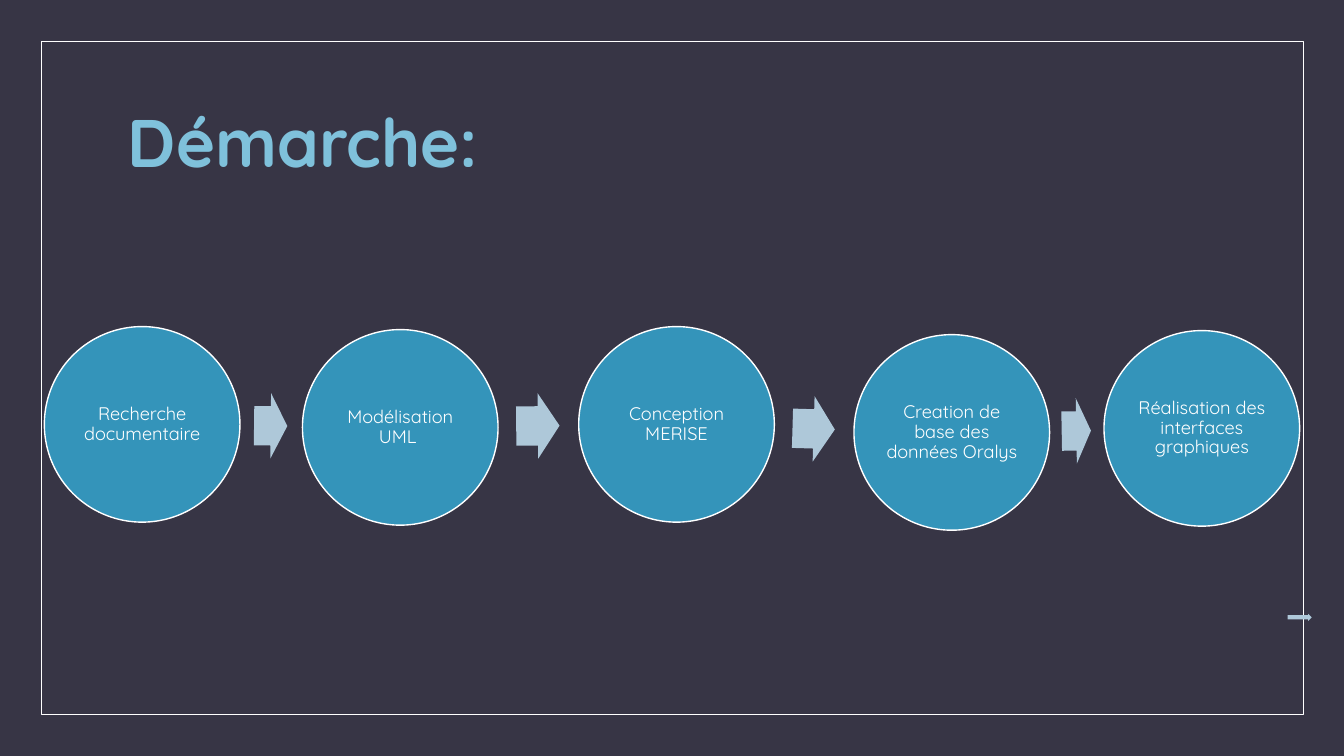
from dataclasses import dataclass

from pptx import Presentation
from pptx.dml.color import RGBColor
from pptx.enum.shapes import MSO_SHAPE
from pptx.enum.text import MSO_ANCHOR, PP_ALIGN
from pptx.util import Inches, Pt

RECTANGLE, OVAL, ARROW = MSO_SHAPE.RECTANGLE, MSO_SHAPE.OVAL, MSO_SHAPE.RIGHT_ARROW
MIDDLE = MSO_ANCHOR.MIDDLE
LEFT, CENTER = PP_ALIGN.LEFT, PP_ALIGN.CENTER


@dataclass(frozen=True)
class Theme:
    font: str = "Quicksand"
    background: RGBColor = RGBColor(0x37, 0x35, 0x45)
    white: RGBColor = RGBColor(0xFF, 0xFF, 0xFF)
    title: RGBColor = RGBColor(0x7F, 0xC1, 0xDB)
    step: RGBColor = RGBColor(0x34, 0x94, 0xBA)
    arrow: RGBColor = RGBColor(0xAE, 0xC8, 0xD9)
    title_size: int = 48
    step_size: int = 13


THEME = Theme()
DIAMETER = 1.94
ARROW_HEIGHT = 0.65

# left, top, label
STEPS = [
    (0.44, 3.24, "Recherche documentaire"),
    (3, 3.27, "Modélisation UML "),
    (5.74, 3.24, "Conception MERISE"),
    (8.47, 3.32, "Creation de base des données Oralys"),
    (10.95, 3.28, "Réalisation des interfaces graphiques"),
]

# left, top, width, height, rotation
ARROWS = [
    (2.52, 3.9, 0.33, ARROW_HEIGHT, 0.7),
    (5.12, 3.9, 0.43, ARROW_HEIGHT, -0.6),
    (7.86, 3.93, 0.42, ARROW_HEIGHT, 1.7),
    (10.53, 3.95, 0.29, ARROW_HEIGHT, -1),
    (12.77, 6.09, 0.24, 0.07, 0),
]


def add_outline(page, kind, bounds, fill=None, line_width=None):
    """Add a preset shape; without a fill or line width that part is left clear."""
    shape = page.shapes.add_shape(kind, *map(Inches, bounds))
    shape.shadow.inherit = False
    if fill is None:
        shape.fill.background()
    else:
        shape.fill.solid()
        shape.fill.fore_color.rgb = fill
    if line_width is None:
        shape.line.fill.background()
    else:
        shape.line.color.rgb = THEME.white
        shape.line.width = Pt(line_width)
    return shape


def write_text(box, text, size, color, align, bold=False, inset=None):
    frame = box.text_frame
    frame.word_wrap = True
    frame.vertical_anchor = MIDDLE
    if inset is not None:
        for side in ("left", "top", "right", "bottom"):
            setattr(frame, f"margin_{side}", Inches(inset))
    para = frame.paragraphs[0]
    para.alignment = align
    para.line_spacing = 0.9
    span = para.add_run()
    span.text = text
    for name, value in {"name": THEME.font, "size": Pt(size), "bold": bold}.items():
        setattr(span.font, name, value)
    span.font.color.rgb = color


def add_title(page, text):
    box = page.shapes.add_textbox(Inches(1.17), Inches(0.7), Inches(11), Inches(1.5))
    write_text(box, text, THEME.title_size, THEME.title, LEFT, bold=True)


def add_step(page, left, top, label):
    circle = add_outline(page, OVAL, (left, top, DIAMETER, DIAMETER), THEME.step, 1)
    write_text(circle, label, THEME.step_size, THEME.white, CENTER, inset=0.02)


def add_arrow(page, left, top, width, height, rotation):
    arrow = add_outline(page, ARROW, (left, top, width, height), THEME.arrow)
    arrow.adjustments[0] = 0.6
    arrow.adjustments[1] = 0.5
    arrow.rotation = rotation


def main():
    deck = Presentation()
    deck.slide_width, deck.slide_height = Inches(13.33), Inches(7.5)
    page = deck.slides.add_slide(deck.slide_layouts[6])
    page.background.fill.solid()
    page.background.fill.fore_color.rgb = THEME.background

    add_outline(page, RECTANGLE, (0.41, 0.41, 12.52, 6.68), line_width=0.5)
    add_title(page, "Démarche:")
    for step in STEPS:
        add_step(page, *step)
    for arrow in ARROWS:
        add_arrow(page, *arrow)
    deck.save("out.pptx")


if __name__ == "__main__":
    main()
